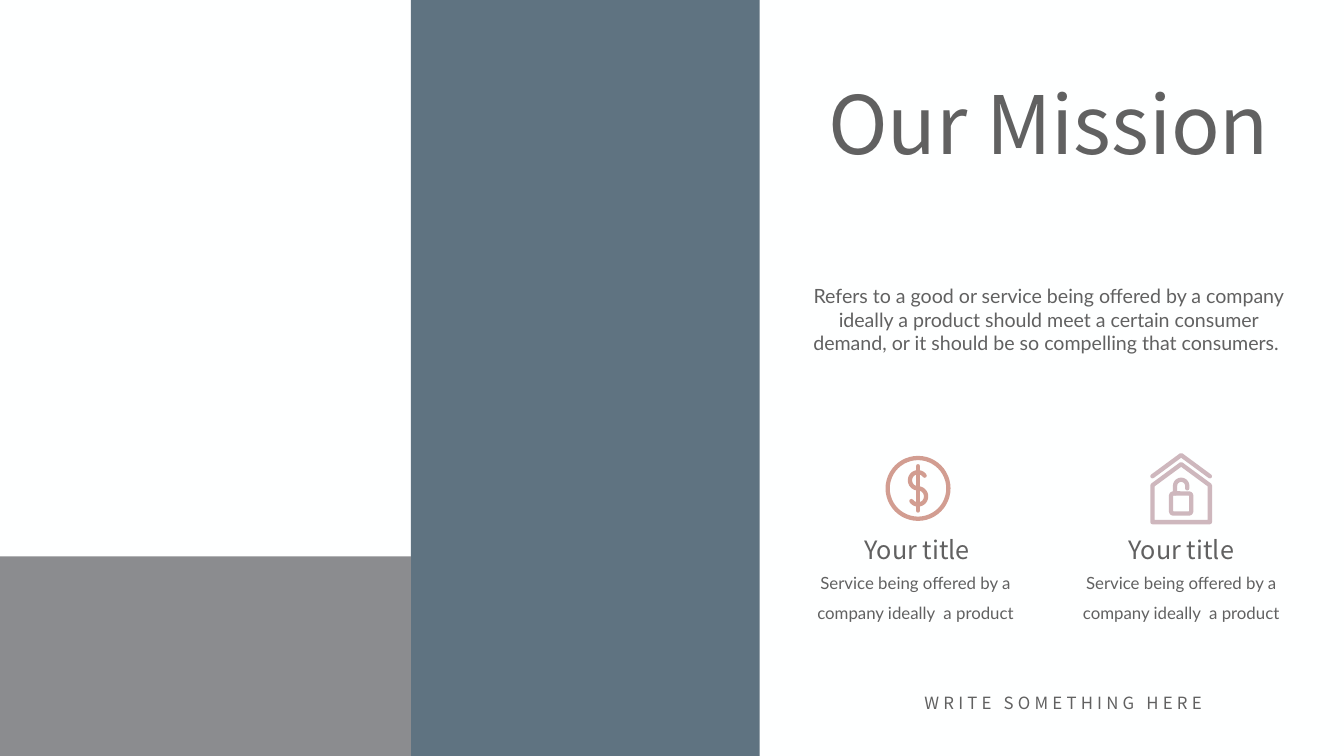
"""Build the mission slide: two colour panels, a heading and two icon columns."""
import math
from dataclasses import dataclass
from typing import Any

from lxml import etree
from pptx import Presentation
from pptx import util as u
from pptx.dml.color import RGBColor
from pptx.enum import shapes, text
from pptx.oxml import ns

COLUMNS, ROWS = 26.66, 15
CELL = u.Inches(1)
HEADING, BODY = "Noto Sans CJK SC", "Lato"


def grid(*cells):
    """Turn grid columns and rows into slide lengths."""
    return [u.Emu(round(cell * CELL)) for cell in cells]


def colour(value):
    """Turn a hex string into a colour."""
    return RGBColor.from_string(value)


def paint(shape, fill):
    """Give a shape a plain fill without line or shadow."""
    shape.shadow.inherit = False
    shape.fill.solid()
    shape.fill.fore_color.rgb = colour(fill)
    shape.line.fill.background()


def write(frame, words, *, size, font, ink, line=None, before=None, tracking=None):
    """Write one centred paragraph in the given format."""
    paragraph = frame.paragraphs[0]
    paragraph.alignment = text.PP_ALIGN.CENTER
    if line:
        paragraph.line_spacing = u.Pt(line)
    if before:
        paragraph.space_before = u.Pt(before * size)
    run = paragraph.add_run()
    run.text = words
    run.font.size = u.Pt(size)
    run.font.name = font
    run.font.color.rgb = colour(ink)
    if tracking:
        run.font._element.set("spc", str(tracking * 100))


def arc(x, y, radius, start, end, steps=20):
    """List points on an arc, with angles in degrees clockwise from the right."""
    angles = [math.radians(start + (end - start) * i / steps) for i in range(steps + 1)]
    return [(x + radius * math.cos(a), y + radius * math.sin(a)) for a in angles]


@dataclass
class Designer:
    """Hold the style and the current slide."""

    slide: Any
    ink: str = "616161"
    stroke_width: float = 0.085

    def background(self, fill):
        """Fill the slide background."""
        self.slide.background.fill.solid()
        self.slide.background.fill.fore_color.rgb = colour(fill)

    def panel(self, left, top, width, height, fill):
        """Add a plain rectangle."""
        shape = self.slide.shapes.add_shape(
            shapes.MSO_SHAPE.RECTANGLE, *grid(left, top, width, height))
        paint(shape, fill)

    def label(self, left, top, width, height, words, inset=0.1, **style):
        """Add a wrapped text box."""
        frame = self.slide.shapes.add_textbox(*grid(left, top, width, height)).text_frame
        frame.word_wrap = True
        frame.auto_size = text.MSO_AUTO_SIZE.SHAPE_TO_FIT_TEXT
        frame.margin_left = frame.margin_right = u.Inches(inset)
        frame.margin_top = frame.margin_bottom = u.Inches(inset / 2)
        write(frame, words, ink=self.ink, **style)

    def outline(self, shape, tint):
        """Draw a shape as a round-ended stroke."""
        shape.shadow.inherit = False
        shape.fill.background()
        shape.line.color.rgb = colour(tint)
        shape.line.width = u.Inches(self.stroke_width)
        line = shape._element.spPr.find(ns.qn("a:ln"))
        line.set("cap", "rnd")
        etree.SubElement(line, ns.qn("a:round"))

    def stroke(self, group, x, y, points, tint, close=False):
        """Add a stroke through points given around a centre."""
        corners = [grid(x + dx, y + dy) for dx, dy in points]
        builder = group.shapes.build_freeform(*corners[0], scale=1.0)
        builder.add_line_segments(corners[1:], close=close)
        self.outline(builder.convert_to_shape(), tint)

    def coin(self, x, y, tint):
        """Add a ring with a dollar sign."""
        group = self.slide.shapes.add_group_shape()
        size = 1.29
        ring = group.shapes.add_shape(
            shapes.MSO_SHAPE.DONUT, *grid(x - size / 2, y - size / 2, size, size))
        ring.adjustments[0] = self.stroke_width / size
        paint(ring, tint)
        curve = arc(0, -0.16, 0.16, -35, -270) + arc(0, 0.16, 0.16, -90, 145)
        self.stroke(group, x, y, curve, tint)
        self.stroke(group, x, y, [(0, -0.44), (0, 0.44)], tint)

    def house(self, x, y, tint):
        """Add a house with a double roof and an open lock."""
        group = self.slide.shapes.add_group_shape()
        walls = [(-0.57, 0.67), (-0.57, -0.06), (0, -0.48), (0.57, -0.06), (0.57, 0.67)]
        self.stroke(group, x, y, walls, tint, close=True)
        self.stroke(group, x, y, [(-0.57, -0.24), (0, -0.66), (0.57, -0.24)], tint)
        lock = group.shapes.add_shape(
            shapes.MSO_SHAPE.ROUNDED_RECTANGLE, *grid(x - 0.2, y + 0.1, 0.4, 0.4))
        lock.adjustments[0] = 0.12
        self.outline(lock, tint)
        shackle = [(-0.12, 0.1), *arc(0, -0.05, 0.12, 180, 360), (0.12, 0)]
        self.stroke(group, x, y, shackle, tint)


def main():
    """Build and save the slide."""
    presentation = Presentation()
    presentation.slide_width, presentation.slide_height = grid(COLUMNS, ROWS)
    designer = Designer(presentation.slides.add_slide(presentation.slide_layouts[6]))

    designer.background("FEFFFF")
    designer.panel(8.15, 0, 6.92, ROWS, "5F7381")
    designer.panel(0, 11.04, 8.15, ROWS - 11.04, "8B8C8F")

    designer.label(16.3, 1.42, 9, 2.04, "Our Mission", size=115, font=HEADING)
    designer.label(
        15.88, 5.52, 9.84, 1.65,
        "Refers to a good or service being offered by a company ideally a product "
        "should meet a certain consumer demand, or it should be so compelling that "
        "consumers. ",
        inset=0.24, size=28, font=BODY, before=0.2)

    columns = [
        (designer.coin, 18.21, "D29D91", 16.41, 15.38),
        (designer.house, 23.43, "CEB7BD", 21.65, 20.65),
    ]
    for icon, centre, tint, title_left, body_left in columns:
        icon(centre, 9.69, tint)
        designer.label(title_left, 10.56, 3.57, 0.71, "Your title", size=36, font=HEADING)
        designer.label(
            body_left, 11.04, 5.56, 1.38,
            "Service being offered by a company ideally  a product",
            inset=0.24, size=24, font=BODY, line=43, before=0.2)

    designer.label(18.14, 13.7, 5.9, 0.5, "WRITE SOMETHING HERE",
                   size=24, font=HEADING, tracking=6)
    presentation.save("out.pptx")


if __name__ == "__main__":
    main()
